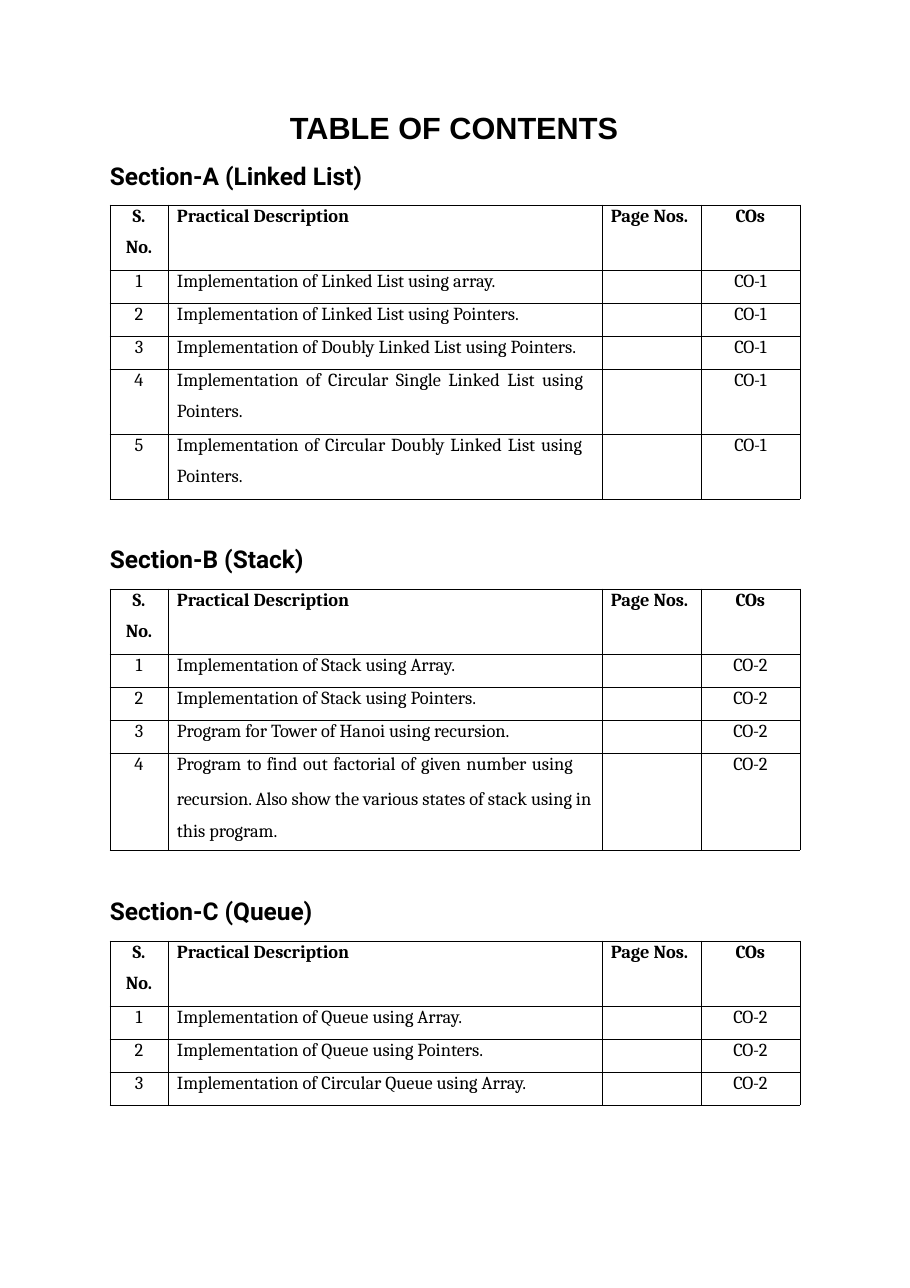
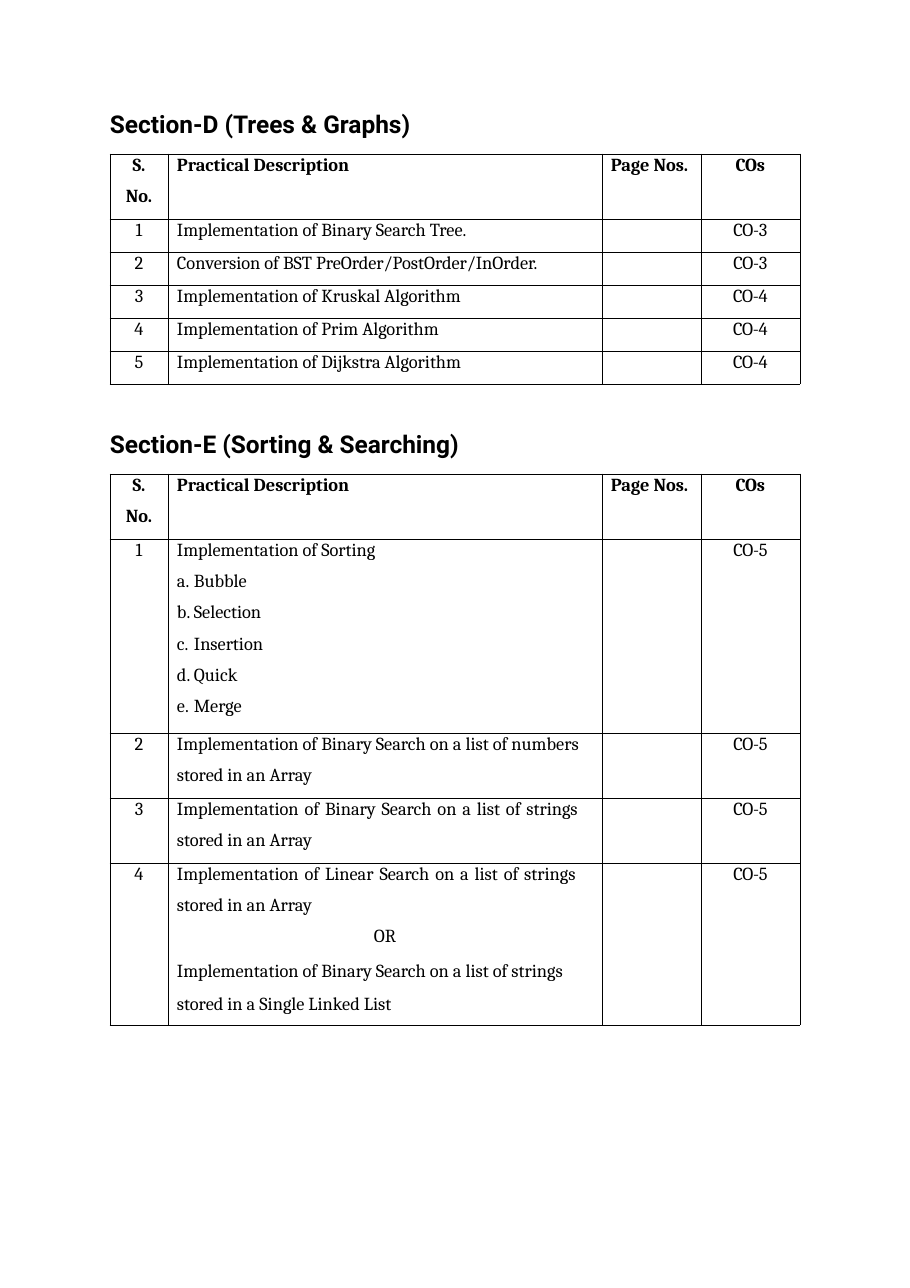
from math import ceil

from lxml.etree import SubElement
from pptx import Presentation
from pptx.dml.color import RGBColor
from pptx.enum.text import MSO_AUTO_SIZE as AutoSize, PP_ALIGN as Align
from pptx.oxml import parse_xml
from pptx.oxml.ns import nsdecls, qn
from pptx.util import Pt

PX = 8298  # EMU in one px
BLACK = "000000"
LEFT, TABLE_LEFT = 109, 110
COLUMNS = [58, 434, 99, 99]
LINE_PITCH = 32.3
HEADING_RISE = 46  # from heading top to table top
CELL_INDENT = 9
BORDER = (
    f'<a:{{side}} {nsdecls("a")} w="6350"><a:solidFill><a:srgbClr val="{BLACK}"/>'
    "</a:solidFill></a:{side}>"
)


def write(para, text, font="Cambria", size=12, bold=False, align=Align.LEFT,
          indent=0, hanging=0, before=0, leading=None, track=0, stretch=0,
          lettered=False):
    """Fill a paragraph; stretch widens the word gaps, in points."""
    para.alignment = align
    para.space_before = Pt(before)
    if leading:
        para.line_spacing = Pt(leading)
    props = para._p.get_or_add_pPr()
    props.set("marL", str(indent * PX))
    props.set("indent", str(-hanging * PX))
    if lettered:
        SubElement(props, qn("a:buAutoNum"), type="alphaLcPeriod")
    pieces = text.replace(" ", "| |").split("|") if stretch else [text]
    for piece in pieces:
        span = para.add_run()
        span.text = piece
        span.font.name, span.font.size, span.font.bold = font, Pt(size), bold
        span.font.color.rgb = RGBColor.from_string(BLACK)
        spacing = stretch if piece == " " else track
        if spacing:
            span._r.get_or_add_rPr().set("spc", str(round(spacing * 100)))


# Paragraph formats
HEADING = dict(font="Roboto", size=16, bold=True, indent=1)
FIRST = dict(leading=14.2, before=0)
NEXT = dict(before=6.7)
LETTERED = dict(lettered=True, indent=26, hanging=17)
WRAPPED = dict(leading=21.3, before=1.6)

# Sections: heading, heading width, table top, rows of (description lines, CO).
# A line is plain text or (text, format, number of lines it fills).
pages = [
    [
        ("Section-A (Linked List)", 515, 205, [
            (["Implementation of Linked List using array."], "CO-1"),
            (["Implementation of Linked List using Pointers."], "CO-1"),
            (["Implementation of Doubly Linked List using Pointers."], "CO-1"),
            ([("Implementation of Circular Single Linked List using", dict(stretch=2.2), 1),
              "Pointers."], "CO-1"),
            ([("Implementation of Circular Doubly Linked List using", dict(stretch=1.2), 1),
              "Pointers."], "CO-1"),
        ]),
        ("Section-B (Stack)", 219, 589, [
            (["Implementation of Stack using Array."], "CO-2"),
            (["Implementation of Stack using Pointers."], "CO-2"),
            (["Program for Tower of Hanoi using recursion."], "CO-2"),
            ([("Program to find out factorial of given number using", dict(stretch=0.9), 1),
              ("recursion. Also show the various states of stack using in this program.",
               WRAPPED, 2)], "CO-2"),
        ]),
        ("Section-C (Queue)", 230, 941, [
            (["Implementation of Queue using Array."], "CO-2"),
            (["Implementation of Queue using Pointers."], "CO-2"),
            (["Implementation of Circular Queue using Array."], "CO-2"),
        ]),
    ],
    [
        ("Section-D (Trees & Graphs)", 342, 154, [
            (["Implementation of Binary Search Tree."], "CO-3"),
            (["Conversion of BST PreOrder/PostOrder/InOrder."], "CO-3"),
            (["Implementation of Kruskal Algorithm"], "CO-4"),
            (["Implementation of Prim Algorithm"], "CO-4"),
            (["Implementation of Dijkstra Algorithm"], "CO-4"),
        ]),
        ("Section-E (Sorting & Searching)", 396, 474, [
            (["Implementation of Sorting"]
             + [(name, LETTERED, 1)
                for name in ("Bubble", "Selection", "Insertion", "Quick", "Merge")], "CO-5"),
            (["Implementation of Binary Search on a list of numbers",
              "stored in an Array"], "CO-5"),
            ([("Implementation of Binary Search on a list of strings", dict(stretch=1.2), 1),
              "stored in an Array"], "CO-5"),
            ([("Implementation of Linear Search on a list of strings", dict(stretch=1.2), 1),
              "stored in an Array",
              ("OR", dict(align=Align.CENTER, indent=0), 1),
              ("Implementation of Binary Search on a list of strings "
               "stored in a Single Linked List", WRAPPED, 2)], "CO-5"),
        ]),
    ],
]

deck = Presentation()
deck.slide_width, deck.slide_height = 910 * PX, 1288 * PX

for page_number, sections in enumerate(pages):
    page = deck.slides.add_slide(deck.slide_layouts[6])

    for section_number, (heading, width, top, entries) in enumerate(sections):
        # Heading, which shares its box with the title on the first page
        titled = page_number == section_number == 0
        box_top, box_height = (88, 104) if titled else (top - HEADING_RISE, 32)
        box = page.shapes.add_textbox(LEFT * PX, box_top * PX, width * PX, box_height * PX)
        frame = box.text_frame
        frame.word_wrap = True
        frame.auto_size = AutoSize.SHAPE_TO_FIT_TEXT
        frame.margin_left = frame.margin_right = frame.margin_bottom = 0
        frame.margin_top = (21 if titled else 1) * PX
        para = frame.paragraphs[0]
        if titled:
            write(para, "TABLE OF CONTENTS", font="Arial", size=20, bold=True,
                  indent=181, before=13.5)
            para = frame.add_paragraph()
        write(para, heading, before=10 if titled else 1, **HEADING)

        # Rows as lists of lines for each cell, with the lines each row fills
        rows = [[["S.", "No."], ["Practical Description"], ["Page Nos."], ["COs"]]]
        line_counts = [2]
        for number, (lines, outcome) in enumerate(entries, 1):
            rows.append([[str(number)], lines, [], [outcome]])
            line_counts.append(sum(1 if isinstance(line, str) else line[2] for line in lines))
        heights = [ceil(LINE_PITCH * count) for count in line_counts]

        # Table
        table = page.shapes.add_table(
            len(rows), len(COLUMNS), TABLE_LEFT * PX, top * PX,
            sum(COLUMNS) * PX, sum(heights) * PX).table
        table.first_row = table.horz_banding = False
        for column, column_width in zip(table.columns, COLUMNS):
            column.width = column_width * PX
        for row_number, (cells, height) in enumerate(zip(rows, heights)):
            table.rows[row_number].height = height * PX
            for column_number, lines in enumerate(cells):
                cell = table.cell(row_number, column_number)
                cell.margin_left = cell.margin_right = 0
                cell.margin_top = cell.margin_bottom = 0
                for side in ("lnL", "lnR", "lnT", "lnB"):
                    cell._tc.get_or_add_tcPr().append(parse_xml(BORDER.format(side=side)))
                cell.fill.background()
                para = cell.text_frame.paragraphs[0]
                if not lines:
                    SubElement(para._p, qn("a:endParaRPr"), sz="1200")
                centred = column_number in (0, 3)
                for line_number, line in enumerate(lines):
                    if line_number:
                        para = cell.text_frame.add_paragraph()
                    text, extra = (line, {}) if isinstance(line, str) else line[:2]
                    style = dict(
                        bold=row_number == 0,
                        align=Align.CENTER if centred else Align.LEFT,
                        indent=0 if centred else CELL_INDENT,
                        track=-0.2 if column_number == 3 else 0)
                    style.update(NEXT if line_number else FIRST)
                    style.update(extra)
                    write(para, text, **style)

deck.save("out.pptx")
